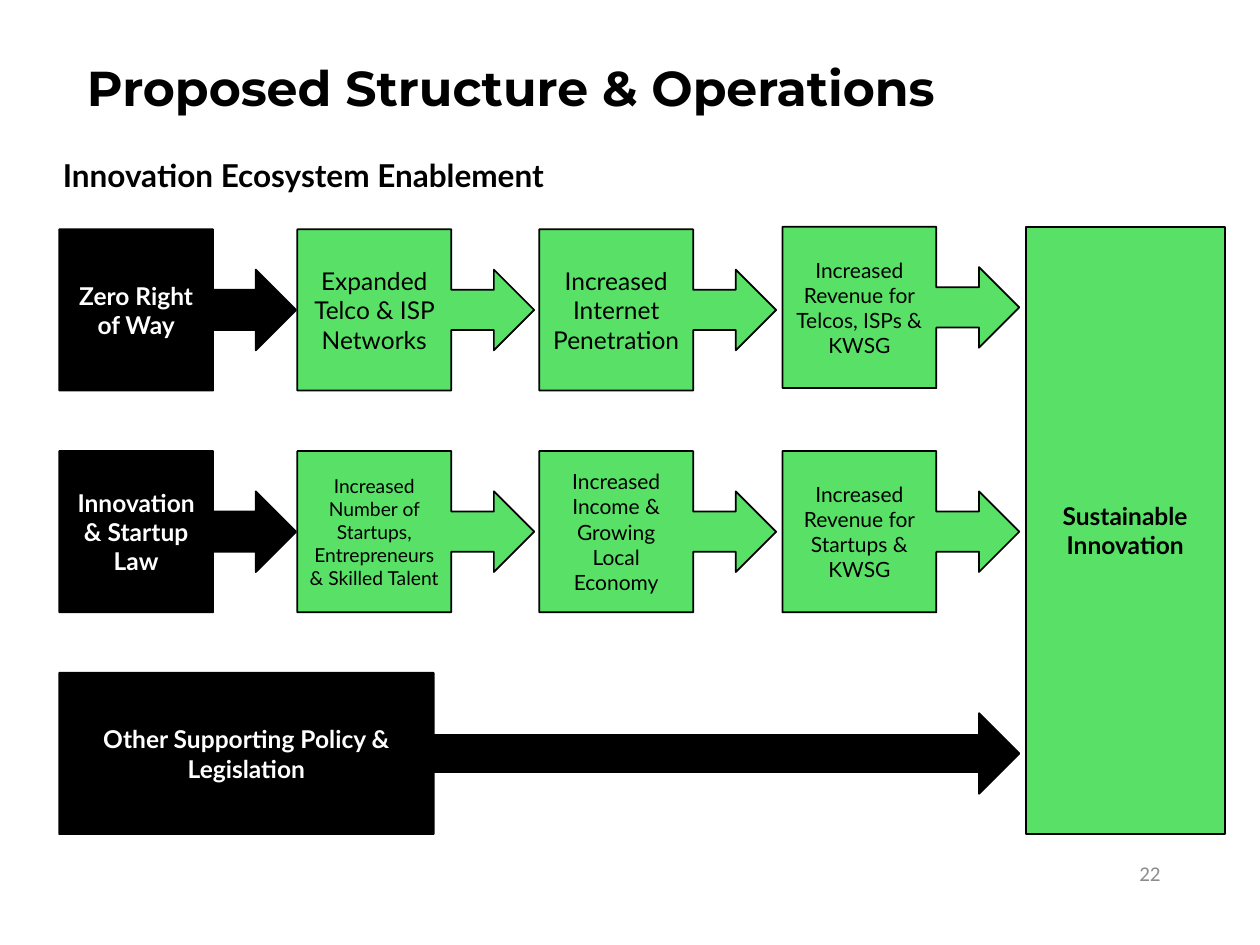
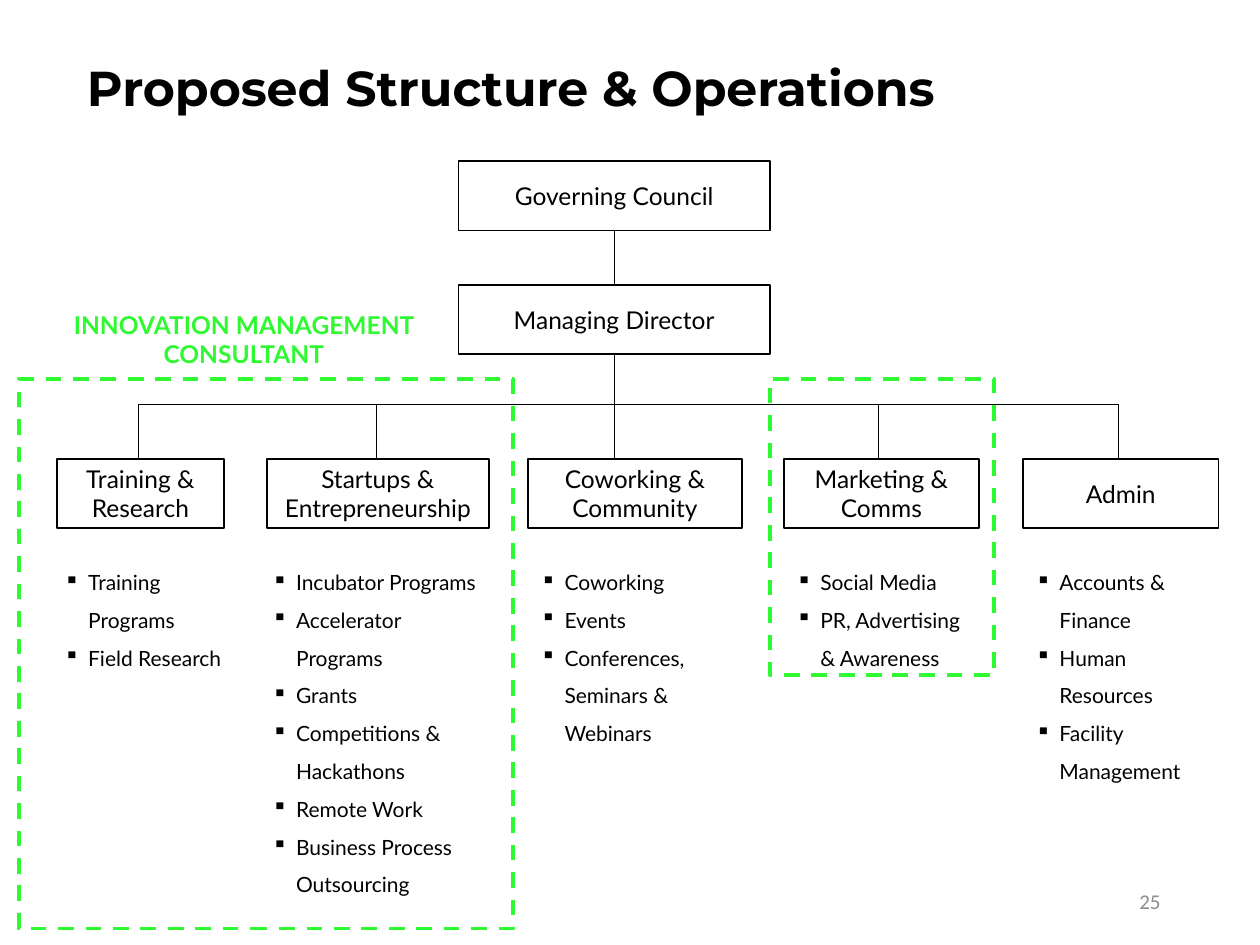
from dataclasses import dataclass

from lxml import etree
from pptx import Presentation
from pptx.dml.color import RGBColor
from pptx.enum.dml import MSO_LINE
from pptx.enum.shapes import MSO_CONNECTOR, MSO_SHAPE
from pptx.enum.text import MSO_ANCHOR, MSO_AUTO_SIZE, PP_ALIGN
from pptx.oxml.ns import qn
from pptx.util import Inches, Pt

RECTANGLE = MSO_SHAPE.RECTANGLE
CALLOUT = MSO_SHAPE.RIGHT_ARROW_CALLOUT
STRAIGHT = MSO_CONNECTOR.STRAIGHT
DASH = MSO_LINE.DASH
LEFT, CENTER, RIGHT = PP_ALIGN.LEFT, PP_ALIGN.CENTER, PP_ALIGN.RIGHT
TOP, MIDDLE = MSO_ANCHOR.TOP, MSO_ANCHOR.MIDDLE
NO_AUTOFIT = MSO_AUTO_SIZE.NONE

TITLE_ONLY, COMPARISON = 5, 4  # layouts of the default template


@dataclass(frozen=True)
class Theme:
    black: RGBColor = RGBColor(0, 0, 0)
    white: RGBColor = RGBColor(255, 255, 255)
    green: RGBColor = RGBColor(0x58, 0xE1, 0x66)
    bright_green: RGBColor = RGBColor(0x2F, 0xF9, 0x31)
    gray: RGBColor = RGBColor(0x8C, 0x8C, 0x8C)
    title_font: str = "Montserrat"
    body_font: str = "Lato"
    number_font: str = "Calibri"
    title_size: int = 28
    heading_size: int = 18
    label_size: int = 14
    small_size: int = 12
    tiny_size: int = 11


THEME = Theme()


@dataclass(frozen=True)
class Department:
    name: str
    left: float
    width: float
    drop: float  # horizontal place of the line above the box
    list_left: float
    list_width: float
    list_height: float
    duties: tuple


TITLE = "Proposed Structure & Operations"

# Innovation flow: grid of callouts
FLOW_LEFTS = (0.47, 2.36, 4.28, 6.21)
FLOW_TOP, FLOW_STEP = 1.82, 1.76
FLOW_WIDTH, FLOW_HEIGHT = 1.88, 1.28
GOAL_LEFT, GOAL_TOP = 8.14, 1.8
FLOW_ROWS = (
    (("Zero Right of Way", THEME.label_size),
     ("Expanded Telco & ISP Networks", THEME.label_size),
     ("Increased Internet Penetration", THEME.label_size),
     ("Increased Revenue for Telcos, ISPs & KWSG", THEME.small_size)),
    (("Innovation & Startup Law", THEME.label_size),
     ("Increased Number of Startups, Entrepreneurs & Skilled Talent", THEME.tiny_size),
     ("Increased Income & Growing Local Economy", THEME.small_size),
     ("Increased Revenue for Startups & KWSG", THEME.small_size)),
)

# Organisation chart
BOX_HEIGHT = 0.55
LEADER_LEFT, LEADER_WIDTH, LEADER_CENTER = 3.64, 2.47, 4.88
COUNCIL_TOP, DIRECTOR_TOP = 1.28, 2.26
BUS_TOP, DEPARTMENT_TOP, LIST_TOP = 3.21, 3.64, 4.37
FRAME_TOP = 3.01
DEPARTMENTS = (
    Department("Training & Research", 0.45, 1.33, 1.1, 0.41, 1.61, 0.98,
               ("Training Programs", "Field Research")),
    Department("Startups & Entrepreneurship", 2.12, 1.76, 2.99, 2.06, 1.87, 2.8,
               ("Incubator Programs", "Accelerator Programs", "Grants",
                "Competitions & Hackathons", "Remote Work",
                "Business Process Outsourcing")),
    Department("Coworking & Community", 4.19, 1.7, LEADER_CENTER, 4.19, 1.87, 1.59,
               ("Coworking", "Events", "Conferences, Seminars & Webinars")),
    Department("Marketing & Comms", 6.22, 1.55, 6.97, 6.22, 1.55, 0.98,
               ("Social Media", "PR, Advertising & Awareness")),
    Department("Admin", 8.12, 1.55, 8.88, 8.12, 1.55, 1.89,
               ("Accounts & Finance", "Human Resources", "Facility Management")),
)


def inches(*lengths):
    return [Inches(length) for length in lengths]


def place(shape, left, top, width, height):
    shape.left, shape.top, shape.width, shape.height = inches(left, top, width, height)


def add_run(paragraph, text, size, color=THEME.black, bold=False, font=THEME.body_font):
    run = paragraph.add_run()
    run.text = text
    run.font.name, run.font.size = font, Pt(size)
    run.font.bold = bold
    run.font.color.rgb = color


def write(shape, text, size, align=LEFT, anchor=TOP, wrap=True, **style):
    frame = shape.text_frame
    frame.word_wrap = wrap
    frame.auto_size = NO_AUTOFIT
    frame.vertical_anchor = anchor
    frame.paragraphs[0].alignment = align
    add_run(frame.paragraphs[0], text, size, **style)


def add_label(slide, bounds, text, size, **style):
    write(slide.shapes.add_textbox(*inches(*bounds)), text, size, **style)


def add_block(slide, kind, bounds, fill=None, line=THEME.black, line_width=1):
    shape = slide.shapes.add_shape(kind, *inches(*bounds))
    shape.shadow.inherit = False
    if fill is None:
        shape.fill.background()
    else:
        shape.fill.solid()
        shape.fill.fore_color.rgb = fill
    shape.line.color.rgb = line
    shape.line.width = Pt(line_width)
    return shape


def add_text_block(slide, kind, bounds, text, size=THEME.label_size,
                   fill=THEME.white, color=THEME.black, bold=False):
    shape = add_block(slide, kind, bounds, fill)
    write(shape, text, size, CENTER, MIDDLE, color=color, bold=bold)
    return shape


def add_dashed_frame(slide, bounds):
    frame = add_block(slide, RECTANGLE, bounds, line=THEME.bright_green, line_width=2.25)
    frame.line.dash_style = DASH


def add_line(slide, *ends):
    line = slide.shapes.add_connector(STRAIGHT, *inches(*ends))
    line.line.color.rgb = THEME.black
    line.line.width = Pt(0.5)
    properties = line._element.spPr
    etree.SubElement(properties, qn("a:effectLst"))


def fill_list(shape, items):
    frame = shape.text_frame
    frame.word_wrap = True
    frame.auto_size = NO_AUTOFIT
    frame.vertical_anchor = TOP
    for index, item in enumerate(items):
        paragraph = frame.paragraphs[0] if index == 0 else frame.add_paragraph()
        properties = paragraph._p.get_or_add_pPr()
        properties.set("marL", str(Inches(0.19)))
        properties.set("indent", str(-Inches(0.19)))
        etree.SubElement(properties, qn("a:buFontTx"))
        etree.SubElement(properties, qn("a:buChar")).set("char", "▪")
        paragraph.line_spacing = 1.5
        paragraph.space_before = Pt(0)
        add_run(paragraph, item, THEME.small_size)


def start_slide(presentation, layout, number, number_top):
    slide = presentation.slides.add_slide(presentation.slide_layouts[layout])
    title = slide.shapes.title
    place(title, 0.59, 0.41, 7.42, 0.57)
    write(title, TITLE, THEME.title_size, bold=True, font=THEME.title_font)
    add_label(slide, (7.06, number_top, 2.25, 0.4), number, THEME.small_size,
              align=RIGHT, anchor=MIDDLE, color=THEME.gray, font=THEME.number_font)
    return slide


def build_flow_slide(presentation):
    slide = start_slide(presentation, TITLE_ONLY, "22", 6.73)
    add_label(slide, (0.4, 1.19, 4.32, 0.4), "Innovation Ecosystem Enablement",
              THEME.heading_size, wrap=False, bold=True)

    # Two rows of steps, each opened by a black policy step
    for row, steps in enumerate(FLOW_ROWS):
        for column, (text, size) in enumerate(steps):
            top = FLOW_TOP + row * FLOW_STEP
            if row == 0 and column == len(steps) - 1:
                top = GOAL_TOP
            policy = column == 0
            add_text_block(slide, CALLOUT,
                           (FLOW_LEFTS[column], top, FLOW_WIDTH, FLOW_HEIGHT), text, size,
                           fill=THEME.black if policy else THEME.green,
                           color=THEME.white if policy else THEME.black, bold=policy)

    # Long policy arrow and the shared goal
    policy_top = FLOW_TOP + 2 * FLOW_STEP
    policy_width = FLOW_LEFTS[-1] + FLOW_WIDTH - FLOW_LEFTS[0]
    policy_arrow = add_text_block(
        slide, CALLOUT, (FLOW_LEFTS[0], policy_top, policy_width, FLOW_HEIGHT),
        "Other Supporting Policy & Legislation",
        fill=THEME.black, color=THEME.white, bold=True)
    for index, value in enumerate((0.23, 0.25, 0.25, 0.39)):
        policy_arrow.adjustments[index] = value
    goal_height = policy_top + FLOW_HEIGHT - GOAL_TOP
    add_text_block(slide, RECTANGLE, (GOAL_LEFT, GOAL_TOP, 1.58, goal_height),
                   "Sustainable Innovation", fill=THEME.green, bold=True)


def build_organisation_slide(presentation):
    slide = start_slide(presentation, COMPARISON, "25", 6.95)
    list_shapes = [shape for shape in slide.placeholders
                   if shape.placeholder_format.idx != 0]

    # Leadership
    for name, top in (("Governing Council", COUNCIL_TOP),
                      ("Managing Director", DIRECTOR_TOP)):
        add_text_block(slide, RECTANGLE, (LEADER_LEFT, top, LEADER_WIDTH, BOX_HEIGHT), name)
    add_line(slide, LEADER_CENTER, COUNCIL_TOP + BOX_HEIGHT, LEADER_CENTER, DIRECTOR_TOP)
    add_line(slide, LEADER_CENTER, DIRECTOR_TOP + BOX_HEIGHT, LEADER_CENTER, BUS_TOP)
    add_line(slide, DEPARTMENTS[0].drop, BUS_TOP, DEPARTMENTS[-1].drop, BUS_TOP)

    # Departments; the layout holds four lists, the fifth gets a text box
    list_shapes.append(slide.shapes.add_textbox(*inches(0, 0, 1, 1)))
    for department, list_shape in zip(DEPARTMENTS, list_shapes):
        add_line(slide, department.drop, BUS_TOP, department.drop, DEPARTMENT_TOP)
        add_text_block(slide, RECTANGLE,
                       (department.left, DEPARTMENT_TOP, department.width, BOX_HEIGHT),
                       department.name)
        place(list_shape, department.list_left, LIST_TOP,
              department.list_width, department.list_height)
        fill_list(list_shape, department.duties)

    # Areas run by the consultant
    add_dashed_frame(slide, (0.15, FRAME_TOP, 3.92, 4.36))
    add_dashed_frame(slide, (6.11, FRAME_TOP, 1.78, 2.35))
    add_label(slide, (0.39, 2.41, 3.09, 0.57), "INNOVATION MANAGEMENT CONSULTANT",
              THEME.label_size, align=CENTER, color=THEME.bright_green, bold=True)


def main():
    presentation = Presentation()
    presentation.slide_width, presentation.slide_height = inches(10, 7.5)
    build_flow_slide(presentation)
    build_organisation_slide(presentation)
    presentation.save("out.pptx")


if __name__ == "__main__":
    main()
